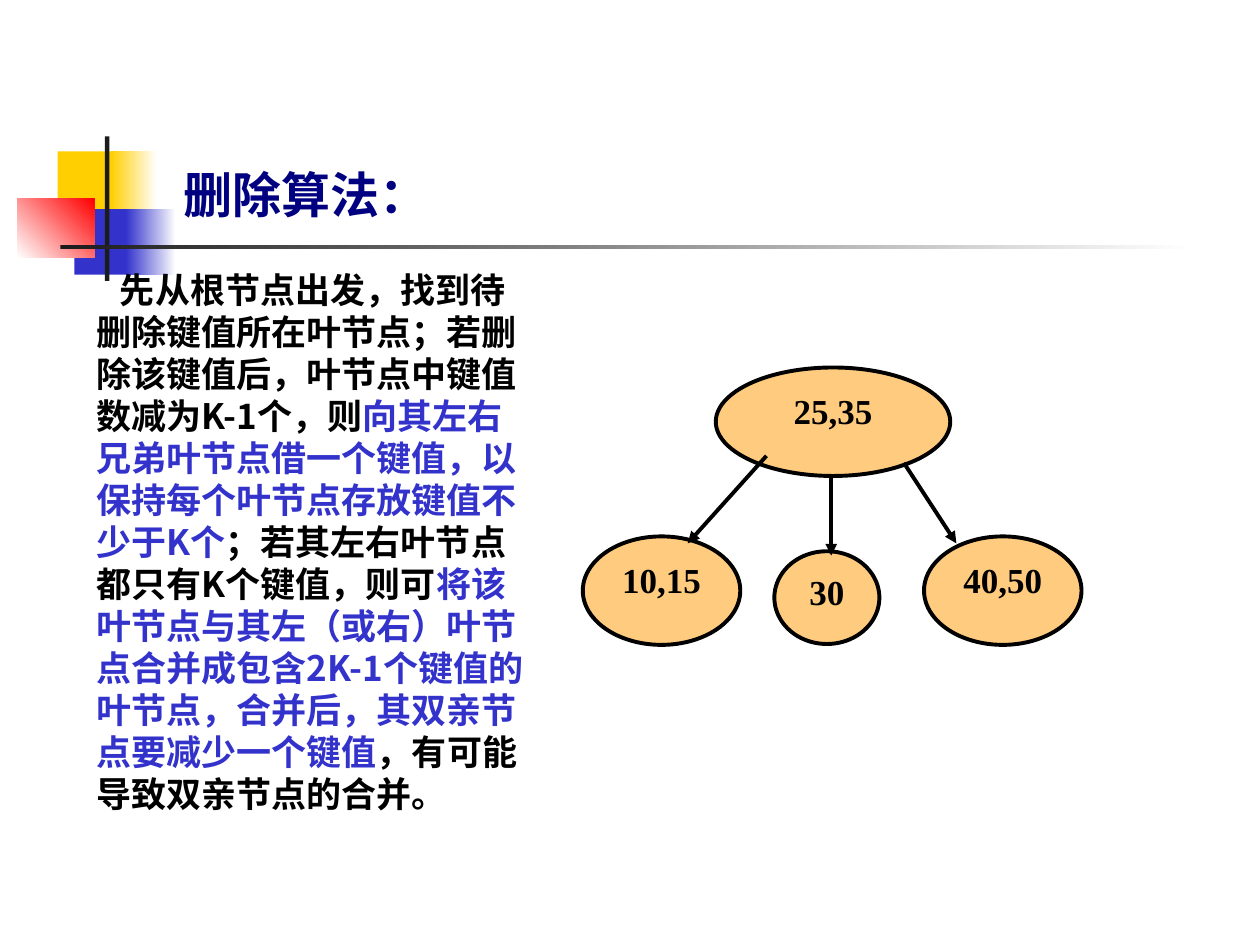
from dataclasses import dataclass

from lxml import etree
from pptx import Presentation
from pptx.dml.color import RGBColor
from pptx.enum.shapes import MSO_CONNECTOR, MSO_SHAPE
from pptx.enum.text import MSO_ANCHOR, MSO_AUTO_SIZE, PP_ALIGN
from pptx.oxml.ns import qn
from pptx.util import Pt

RECTANGLE, ELLIPSE = MSO_SHAPE.RECTANGLE, MSO_SHAPE.OVAL
STRAIGHT = MSO_CONNECTOR.STRAIGHT
TOP = MSO_ANCHOR.TOP
LEFT, CENTER = PP_ALIGN.LEFT, PP_ALIGN.CENTER
FIT_SHAPE = MSO_AUTO_SIZE.SHAPE_TO_FIT_TEXT
TITLE_ONLY = 5


@dataclass(frozen=True)
class Theme:
    white: str = "FFFFFF"
    black: str = "000000"
    yellow: str = "FFCF01"
    blue: str = "3333CC"
    red: str = "FF0000"
    rule: str = "1C1C1C"
    title: str = "000080"
    node: str = "FF9900"
    node_opacity: int = 50
    chinese_font: str = "Noto Sans CJK SC"
    node_font: str = "Times New Roman"
    title_size: float = 28
    text_size: float = 20
    line_width: float = 2.25
    line_pitch: float = 1.2


@dataclass(frozen=True)
class Box:
    left: float
    top: float
    width: float
    height: float

    def lengths(self):
        return [Pt(value) for value in (self.left, self.top, self.width, self.height)]


@dataclass(frozen=True)
class Block:
    box: Box
    color: str
    end_color: str = ""
    angle: float = 0


@dataclass(frozen=True)
class Node:
    label: str
    box: Box


@dataclass(frozen=True)
class Arrow:
    start_x: float
    start_y: float
    end_x: float
    end_y: float


THEME = Theme()

DECORATION = [
    Block(Box(33, 86.5, 34.5, 37.5), THEME.yellow),
    Block(Box(63.5, 86.5, 26, 37.5), THEME.yellow, THEME.white),
    Block(Box(42.5, 119.5, 33, 37.5), THEME.blue),
    Block(Box(72, 119.5, 28.5, 37.5), THEME.blue, THEME.white),
    Block(Box(10, 113.5, 44, 33.5), THEME.white, THEME.red, 45),
    Block(Box(60, 78, 2.5, 82.5), THEME.rule),
    Block(Box(34.5, 140, 648, 2.5), THEME.rule, THEME.white),
]

TITLE_BOX = Box(84, 90, 154, 41)
BODY_BOX = Box(48, 150, 264, 320)
TREE_BACKDROP = Block(Box(304, 174, 366, 288), THEME.white)

BODY = [
    ("先从根节点出发，找到待删除键值所在叶节点；若删除该键值后，叶节点中键值数减为K-1个，则", THEME.black),
    ("向其左右兄弟叶节点借一个键值，以保持每个叶节点存放键值不少于K个", THEME.blue),
    ("；若其左右叶节点都只有K个键值，则可", THEME.black),
    ("将该叶节点与其左（或右）叶节点合并成包含2K-1个键值的叶节点，合并后，其双亲节点要减少一个键值", THEME.blue),
    ("，有可能导致双亲节点的合并。", THEME.black),
]

NODES = [
    Node("25,35", Box(409, 210, 134, 62)),
    Node("10,15", Box(333, 306.5, 90, 62)),
    Node("30", Box(442.5, 315, 60, 53)),
    Node("40,50", Box(528, 306.5, 90, 62)),
]

ARROWS = [
    Arrow(438, 260.5, 393, 310.5),
    Arrow(475, 271.5, 475, 317.5),
    Arrow(516.5, 264.5, 546.5, 310.5),
]


def apply_format(target, values: dict) -> None:
    for name, value in values.items():
        setattr(target, name, value)


def add_run(paragraph, text: str, color: str, size: float, font: str) -> None:
    run = paragraph.add_run()
    run.text = text
    apply_format(run.font, {"name": font, "size": Pt(size), "bold": True})
    run.font.color.rgb = RGBColor.from_string(color)
    east_asian = etree.SubElement(run.font._element, qn("a:ea"))
    east_asian.set("typeface", font)


def format_text_frame(frame, **values) -> None:
    """Set the common insets and top anchor, then any further values."""
    insets = {
        "margin_left": Pt(7.2), "margin_right": Pt(7.2),
        "margin_top": Pt(3.6), "margin_bottom": Pt(3.6),
    }
    apply_format(frame, {**insets, "vertical_anchor": TOP, **values})


def add_block(shapes, block: Block) -> None:
    shape = shapes.add_shape(RECTANGLE, *block.box.lengths())
    shape.shadow.inherit = False
    shape.line.fill.background()
    if not block.end_color:
        shape.fill.solid()
        shape.fill.fore_color.rgb = RGBColor.from_string(block.color)
        return
    shape.fill.gradient()
    shape.fill.gradient_angle = block.angle
    for stop, color in zip(shape.fill.gradient_stops, (block.color, block.end_color)):
        stop.color.rgb = RGBColor.from_string(color)


def format_line(line) -> None:
    line.width = Pt(THEME.line_width)
    line.color.rgb = RGBColor.from_string(THEME.black)


def add_node(shapes, node: Node) -> None:
    shape = shapes.add_shape(ELLIPSE, *node.box.lengths())
    shape.shadow.inherit = False
    shape.fill.solid()
    shape.fill.fore_color.rgb = RGBColor.from_string(THEME.node)
    color = shape._element.spPr.find(qn("a:solidFill"))[0]
    etree.SubElement(color, qn("a:alpha")).set("val", str(THEME.node_opacity * 1000))
    format_line(shape.line)
    format_text_frame(shape.text_frame, word_wrap=True)
    paragraph = shape.text_frame.paragraphs[0]
    paragraph.alignment = CENTER
    add_run(paragraph, node.label, THEME.black, THEME.text_size, THEME.node_font)


def add_arrow(shapes, arrow: Arrow) -> None:
    ends = (arrow.start_x, arrow.start_y, arrow.end_x, arrow.end_y)
    connector = shapes.add_connector(STRAIGHT, *[Pt(value) for value in ends])
    format_line(connector.line)
    etree.SubElement(connector.line._get_or_add_ln(), qn("a:tailEnd")).set("type", "triangle")
    etree.SubElement(connector._element.spPr, qn("a:effectLst"))


def add_body(shapes) -> None:
    shape = shapes.add_textbox(*BODY_BOX.lengths())
    format_text_frame(shape.text_frame, word_wrap=True, auto_size=FIT_SHAPE)
    paragraph = shape.text_frame.paragraphs[0]
    apply_format(paragraph, {
        "alignment": LEFT, "line_spacing": Pt(THEME.text_size * THEME.line_pitch),
    })
    paragraph._p.get_or_add_pPr().set("indent", str(Pt(13.5)))
    for text, color in BODY:
        add_run(paragraph, text, color, THEME.text_size, THEME.chinese_font)


def place_title(shapes) -> None:
    """Format the title placeholder and bring it in front of the decoration."""
    title = shapes.title
    apply_format(title, dict(zip(("left", "top", "width", "height"), TITLE_BOX.lengths())))
    format_text_frame(title.text_frame, word_wrap=False, auto_size=FIT_SHAPE)
    paragraph = title.text_frame.paragraphs[0]
    apply_format(paragraph, {
        "alignment": CENTER, "line_spacing": Pt(round(THEME.title_size * THEME.line_pitch)),
    })
    add_run(paragraph, "删除算法：", THEME.title, THEME.title_size, THEME.chinese_font)
    shapes._spTree.append(title._element)


def main() -> None:
    presentation = Presentation()
    presentation.slide_width, presentation.slide_height = Pt(720), Pt(540)
    slide = presentation.slides.add_slide(presentation.slide_layouts[TITLE_ONLY])
    for block in DECORATION:
        add_block(slide.shapes, block)
    add_body(slide.shapes)
    place_title(slide.shapes)
    add_block(slide.shapes, TREE_BACKDROP)
    tree = slide.shapes.add_group_shape()
    for node in NODES:
        add_node(tree.shapes, node)
    for arrow in ARROWS:
        add_arrow(tree.shapes, arrow)
    presentation.save("out.pptx")


if __name__ == "__main__":
    main()
